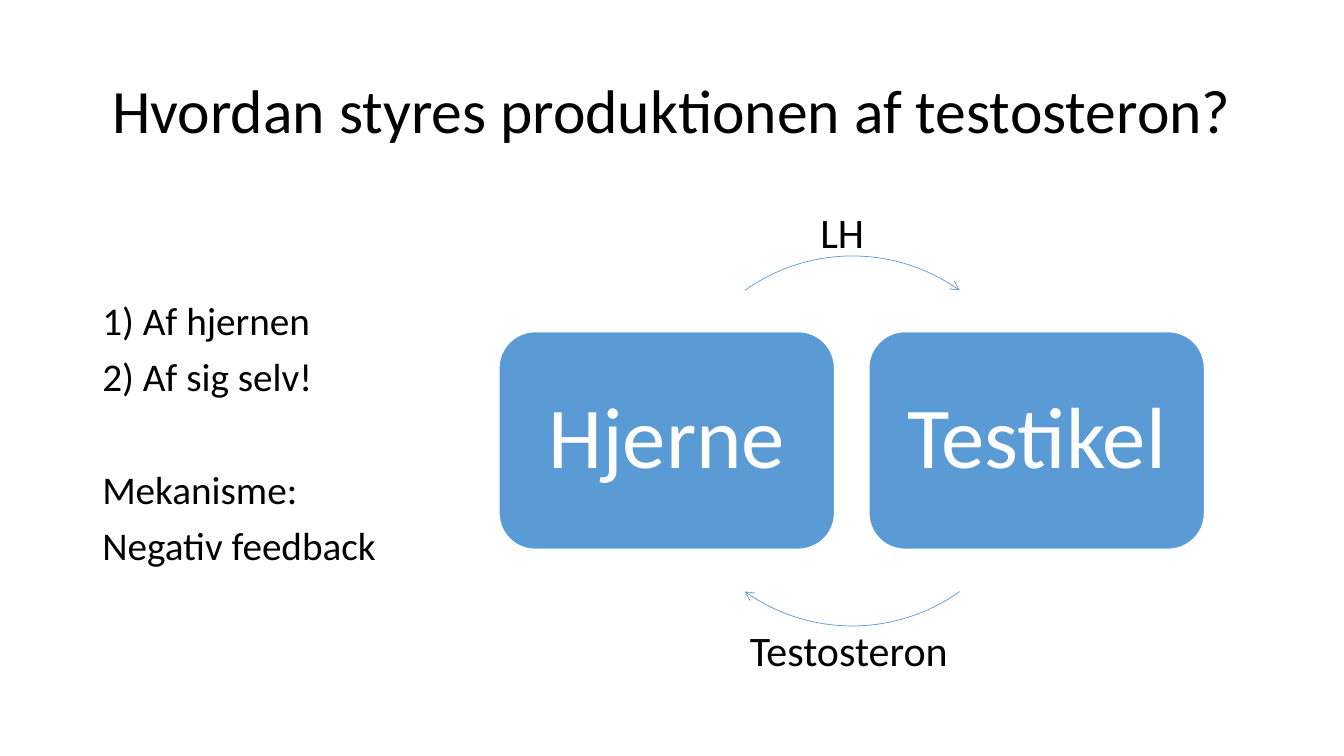
"""Build a slide on how the production of testosterone is regulated."""
from dataclasses import dataclass
from typing import Any

from lxml import etree
from pptx import Presentation
from pptx.dml.color import RGBColor
from pptx.enum.shapes import MSO_SHAPE
from pptx.enum.text import MSO_ANCHOR, PP_ALIGN
from pptx.oxml.ns import qn
from pptx.util import Inches, Pt

ROUNDED, ARC = MSO_SHAPE.ROUNDED_RECTANGLE, MSO_SHAPE.ARC
LEFT, CENTER = PP_ALIGN.LEFT, PP_ALIGN.CENTER
TOP, MIDDLE = MSO_ANCHOR.TOP, MSO_ANCHOR.MIDDLE

COLORS = {"text": "000000", "node": "5B9BD5", "white": "FFFFFF"}
FONT = "Calibri"
SLIDE_WIDTH, SLIDE_HEIGHT = Inches(13.33), Inches(7.5)
COLUMN, ROW = SLIDE_WIDTH / 40, SLIDE_HEIGHT / 22.5
NODE_PITCH = 11.01
ANGLE_UNIT = 0.6


@dataclass(frozen=True)
class Box:
    """Hold a place on the grid in columns and rows."""

    column: float
    row: float
    columns: float
    rows: float

    def place(self) -> tuple[int, int, int, int]:
        """Return left, top, width and height in slide units."""
        return (round(self.column * COLUMN), round(self.row * ROW),
                round(self.columns * COLUMN), round(self.rows * ROW))


@dataclass(frozen=True)
class Label:
    """Describe a text box and its format."""

    box: Box
    lines: tuple[str, ...]
    style: dict[str, Any]


@dataclass(frozen=True)
class CycleArrow:
    """Describe a clockwise arrow by its angles in degrees."""

    start: float
    end: float


LABELS = (
    Label(Box(2.75, 1.2, 34.5, 4.35), ("Hvordan styres produktionen af testosteron?",),
          {"size": 44, "align": CENTER, "anchor": MIDDLE, "line_spacing": 0.9}),
    Label(Box(2.75, 8.82, 9.85, 8.88),
          ("1) Af hjernen", "2) Af sig selv!", "Mekanisme:", "Negativ feedback"),
          {"size": 28, "line_spacing": 0.9, "spaces": (0, 10, 50.5, 10)}),
    Label(Box(22.02, 6, 6.09, 1.83), ("LH",), {"size": 30, "align": CENTER}),
    Label(Box(22.02, 18.45, 6.72, 1.83), ("Testosteron",), {"size": 30}),
)
NODES = ("Hjerne", "Testikel")
CYCLE = Box(19.86, 7.62, 11.01, 11.01)
ARROWS = (CycleArrow(234.5, 305.5), CycleArrow(54.5, 125.5))


def color(name: str) -> RGBColor:
    """Look up a colour by its role."""
    return RGBColor.from_string(COLORS[name])


def write_text(shape: Any, lines: tuple[str, ...], *, size: float, ink: str = "text",
               align: Any = LEFT, anchor: Any = TOP, line_spacing: float = 1.0,
               spaces: tuple[float, ...] = (0,)) -> None:
    """Fill a shape with formatted paragraphs."""
    frame = shape.text_frame
    frame.word_wrap = True
    frame.vertical_anchor = anchor
    frame.text = "\n".join(lines)
    for paragraph, space in zip(frame.paragraphs, spaces):
        paragraph.alignment = align
        paragraph.line_spacing = line_spacing
        paragraph.space_before = Pt(space)
        paragraph.font.name = FONT
        paragraph.font.size = Pt(size)
        paragraph.font.color.rgb = color(ink)


def add_label(slide: Any, label: Label) -> None:
    """Add a text box."""
    write_text(slide.shapes.add_textbox(*label.box.place()), label.lines, **label.style)


def add_node(slide: Any, index: int, name: str) -> None:
    """Add one organ of the cycle."""
    box = Box(14.85 + index * NODE_PITCH, 9.87, 9.99, 6.48)
    shape = slide.shapes.add_shape(ROUNDED, *box.place())
    shape.shadow.inherit = False
    shape.fill.solid()
    shape.fill.fore_color.rgb = color("node")
    shape.line.color.rgb = color("white")
    shape.line.width = Pt(1)
    write_text(shape, (name,), size=62, ink="white", align=CENTER,
               anchor=MIDDLE, line_spacing=0.9)


def add_cycle_arrow(slide: Any, arrow: CycleArrow) -> None:
    """Add an arc with an arrowhead at its end."""
    shape = slide.shapes.add_shape(ARC, *CYCLE.place())
    shape.shadow.inherit = False
    shape.adjustments[0] = arrow.start * ANGLE_UNIT
    shape.adjustments[1] = arrow.end * ANGLE_UNIT
    shape.fill.background()
    shape.line.color.rgb = color("node")
    shape.line.width = Pt(0.5)
    outline = shape.line._get_or_add_ln()
    etree.SubElement(outline, qn("a:tailEnd"), type="arrow")


def main() -> None:
    """Build and save the presentation."""
    presentation = Presentation()
    presentation.slide_width, presentation.slide_height = SLIDE_WIDTH, SLIDE_HEIGHT
    slide = presentation.slides.add_slide(presentation.slide_layouts[6])
    for index, name in enumerate(NODES):
        add_node(slide, index, name)
    for arrow in ARROWS:
        add_cycle_arrow(slide, arrow)
    for label in LABELS:
        add_label(slide, label)
    presentation.save("out.pptx")


if __name__ == "__main__":
    main()
